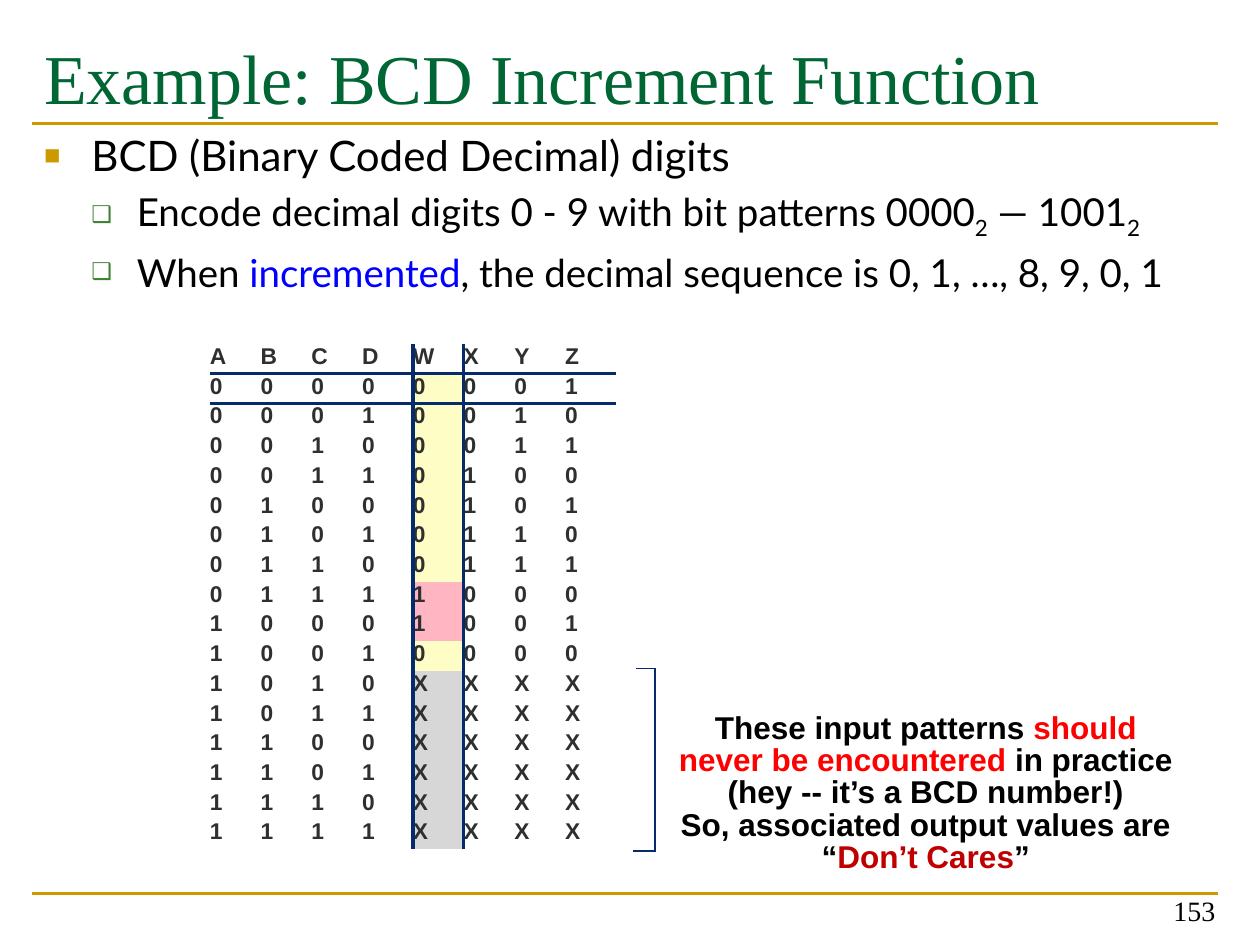
"""Build the BCD increment function slide with its truth table."""
from dataclasses import dataclass

from lxml import etree
from pptx import Presentation
from pptx.dml.color import RGBColor
from pptx.enum.shapes import MSO_CONNECTOR
from pptx.enum.text import MSO_ANCHOR, MSO_AUTO_SIZE, PP_ALIGN
from pptx.oxml.ns import qn
from pptx.util import Pt

STRAIGHT = MSO_CONNECTOR.STRAIGHT
LEFT, CENTER, RIGHT = PP_ALIGN.LEFT, PP_ALIGN.CENTER, PP_ALIGN.RIGHT
TOP, BOTTOM = MSO_ANCHOR.TOP, MSO_ANCHOR.BOTTOM
NO_AUTOFIT = MSO_AUTO_SIZE.NONE
PLAIN_TABLE_STYLE = "{2D5ABB26-0587-4C30-8999-92F81FD0307C}"


@dataclass(frozen=True)
class Theme:
    serif: str = "Times New Roman"
    body: str = "Lato"
    sans: str = "Arial"
    title_size: int = 40
    bullet_size: int = 24
    sub_bullet_size: int = 22
    note_size: int = 18
    number_size: int = 16
    table_size: int = 13
    green: str = "006633"
    gold: str = "CC9900"
    leaf: str = "3B812F"
    black: str = "000000"
    blue: str = "0000FF"
    red: str = "FF0000"
    dark_red: str = "C00000"
    navy: str = "062B6B"
    table_text: str = "2F2F2F"
    zero_fill: str = "FDFDC5"
    one_fill: str = "FFB6C2"
    unused_fill: str = "D7D7D7"


theme = Theme()


def write_runs(paragraph, pieces, font_name, size, bold=False):
    for text, color, *baseline in pieces:
        run = paragraph.add_run()
        run.text = text
        run.font.name = font_name
        run.font.size = Pt(size)
        run.font.bold = bold
        run.font.color.rgb = RGBColor.from_string(color)
        if baseline:
            run._r.get_or_add_rPr().set("baseline", baseline[0])


presentation = Presentation()
presentation.slide_width, presentation.slide_height = Pt(720), Pt(540)
slide = presentation.slides.add_slide(presentation.slide_layouts[1])

title = slide.shapes.title
title.left, title.top, title.width, title.height = Pt(18), Pt(12), Pt(678), Pt(84)
title_frame = title.text_frame
title_frame.vertical_anchor = TOP
title_frame.auto_size = NO_AUTOFIT
title_frame.margin_top = Pt(7.5)
title_paragraph = title_frame.paragraphs[0]
title_paragraph.alignment = LEFT
write_runs(title_paragraph, [("Example: BCD Increment Function", theme.green)],
           theme.serif, theme.title_size)

subscript = "-27000"
bullets = [
    (0, [("BCD (Binary Coded Decimal) digits", theme.black)]),
    (1, [("Encode decimal digits 0 - 9 with bit patterns 0000", theme.black),
         ("2", theme.black, subscript), (" — 1001", theme.black),
         ("2", theme.black, subscript)]),
    (1, [("When ", theme.black), ("incremented", theme.blue),
         (", the decimal sequence is 0, 1, …, 8, 9, 0, 1", theme.black)]),
]
bullet_styles = [
    ("■", theme.gold, "65000", 27, theme.bullet_size),
    ("❑", theme.leaf, "60000", 26, theme.sub_bullet_size),
]
body = slide.placeholders[1]
body.left, body.top, body.width, body.height = Pt(18), Pt(70.5), Pt(678), Pt(412.5)
body_frame = body.text_frame
body_frame.auto_size = NO_AUTOFIT
body_frame.vertical_anchor = TOP
for index, (level, pieces) in enumerate(bullets):
    symbol, color, percent, hanging, size = bullet_styles[level]
    paragraph = body_frame.add_paragraph() if index else body_frame.paragraphs[0]
    paragraph.level = level
    properties = paragraph._p.get_or_add_pPr()
    properties.set("marL", str(Pt(27 + 26 * level)))
    properties.set("indent", str(-Pt(hanging)))
    bullet_color = etree.SubElement(properties, qn("a:buClr"))
    etree.SubElement(bullet_color, qn("a:srgbClr"), val=color)
    etree.SubElement(properties, qn("a:buSzPct"), val=percent)
    etree.SubElement(properties, qn("a:buFont"), typeface=theme.sans)
    etree.SubElement(properties, qn("a:buChar"), char=symbol)
    paragraph.space_before = Pt(4.4 if index else 0)
    write_runs(paragraph, pieces, theme.body, size)

header = "ABCDWXYZ"
truth_rows = [header]
for value in range(16):
    output = f"{(value + 1) % 10:04b}" if value < 10 else "XXXX"
    truth_rows.append(f"{value:04b}{output}")
w_column = header.index("W")
w_fills = {"0": theme.zero_fill, "1": theme.one_fill, "X": theme.unused_fill}
column_width, row_height = 29, 17
table_frame = slide.shapes.add_table(
    len(truth_rows), len(header), Pt(120), Pt(196.5),
    Pt(column_width * len(header)), Pt(row_height * len(truth_rows)))
table = table_frame.table
table.first_row = table.horz_banding = False
table._tbl.tblPr.find(qn("a:tableStyleId")).text = PLAIN_TABLE_STYLE
for column in table.columns:
    column.width = Pt(column_width)
for row_index, values in enumerate(truth_rows):
    table.rows[row_index].height = Pt(row_height)
    for column_index, value in enumerate(values):
        cell = table.cell(row_index, column_index)
        cell.margin_left = cell.margin_right = cell.margin_top = cell.margin_bottom = 0
        write_runs(cell.text_frame.paragraphs[0], [(value, theme.table_text)],
                   theme.sans, theme.table_size, True)
        edges = {
            "a:lnL": column_index == w_column,
            "a:lnR": column_index == w_column - 1,
            "a:lnT": row_index == 1,
            "a:lnB": row_index == 0,
        }
        cell_properties = cell._tc.get_or_add_tcPr()
        for tag, visible in edges.items():
            if visible:
                border = etree.SubElement(cell_properties, qn(tag), w=str(Pt(2)))
                border_fill = etree.SubElement(border, qn("a:solidFill"))
                etree.SubElement(border_fill, qn("a:srgbClr"), val=theme.navy)
        if row_index and column_index == w_column:
            cell.fill.solid()
            cell.fill.fore_color.rgb = RGBColor.from_string(w_fills[value])
        else:
            cell.fill.background()

lines = [
    (18, 70.5, 696, 70.5, theme.gold, 1.5),
    (18, 510.5, 696, 510.5, theme.gold, 1.5),
    (363.5, 382, 374.5, 382, theme.navy, 1),
    (361.5, 486.5, 375, 486.5, theme.navy, 1),
    (374.5, 382, 374.5, 486.5, theme.navy, 1),
]
for *ends, color, width in lines:
    connector = slide.shapes.add_connector(STRAIGHT, *map(Pt, ends))
    connector.line.color.rgb = RGBColor.from_string(color)
    connector.line.width = Pt(width)
    etree.SubElement(connector._element.spPr, qn("a:effectLst"))

note_lines = [
    [("These input patterns ", theme.black), ("should", theme.red)],
    [("never be encountered ", theme.red), ("in practice", theme.black)],
    [("(hey -- it’s a BCD number!)", theme.black)],
    [("So, associated output values are", theme.black)],
    [("“", theme.black), ("Don’t Cares", theme.dark_red), ("”", theme.black)],
]
note = slide.shapes.add_textbox(Pt(380), Pt(406), Pt(295), Pt(96.5))
note_frame = note.text_frame
note_frame.word_wrap = False
note_frame.margin_left = note_frame.margin_right = Pt(2)
note_frame.margin_top = note_frame.margin_bottom = Pt(2)
for index, pieces in enumerate(note_lines):
    paragraph = note_frame.add_paragraph() if index else note_frame.paragraphs[0]
    paragraph._p.get_or_add_pPr().set("marL", str(Pt(3)))
    paragraph.alignment = CENTER
    paragraph.line_spacing = 0.85
    write_runs(paragraph, pieces, theme.sans, theme.note_size, True)

page_number = slide.shapes.add_textbox(Pt(533.5), Pt(497.5), Pt(168), Pt(36))
number_frame = page_number.text_frame
number_frame.word_wrap = True
number_frame.vertical_anchor = BOTTOM
number_frame.paragraphs[0].alignment = RIGHT
write_runs(number_frame.paragraphs[0], [("153", theme.black)],
           theme.serif, theme.number_size)

presentation.save("out.pptx")
